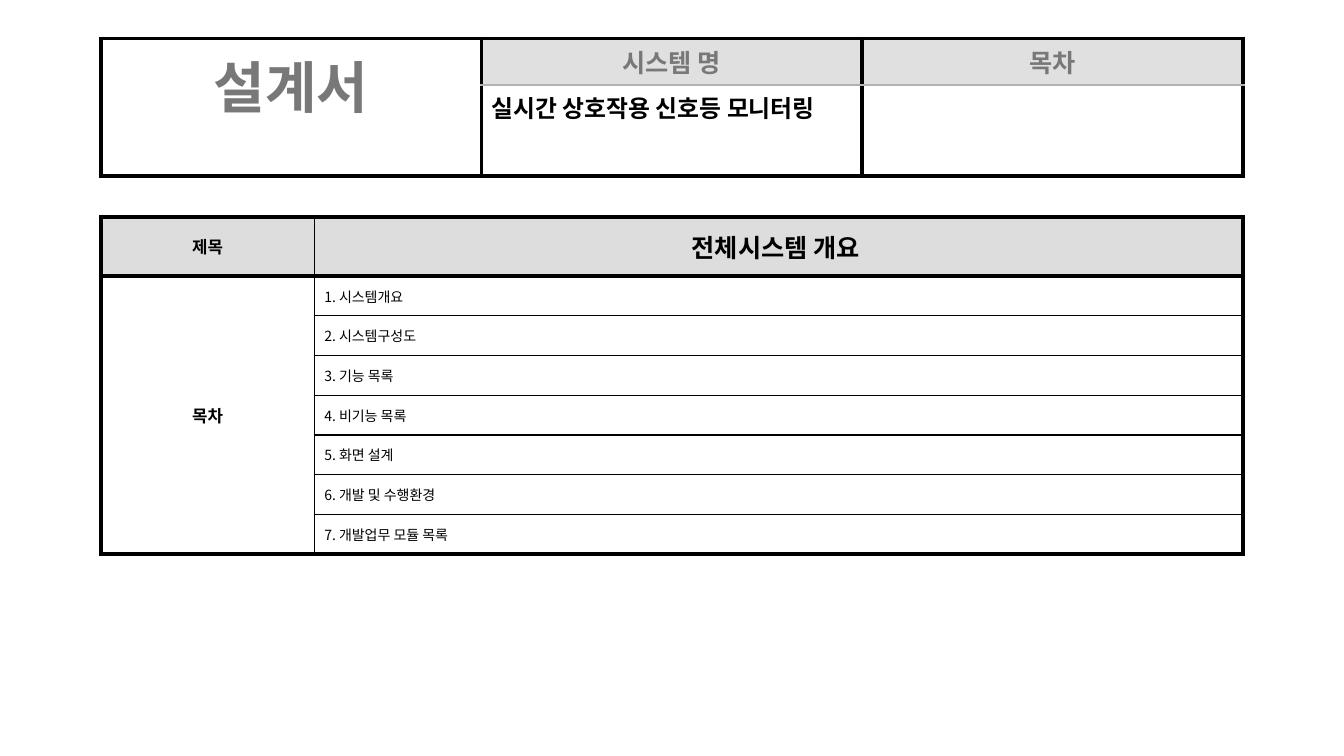
from lxml import etree
from pptx import Presentation
from pptx.dml.color import RGBColor
from pptx.enum.text import MSO_ANCHOR as Anchor, PP_ALIGN as Align
from pptx.oxml.ns import qn
from pptx.util import Cm, Pt

COLORS = {"black": "000000", "white": "FFFFFF", "title": "787878",
          "rule": "B2B2B2", "label": "B2B2B2", "heading": "DDDDDD"}
KOREAN = "Noto Sans CJK KR"
THICK, THIN, GREY = (3, "black"), (1, "black"), (1, "rule")
TOPICS = ["시스템개요", "시스템구성도", "기능 목록", "비기능 목록",
          "화면 설계", "개발 및 수행환경", "개발업무 모듈 목록"]


def add_grid(page, box, widths, heights):
    """Add a plain table whose first column is merged downwards later."""
    frame = page.shapes.add_table(len(heights), len(widths), *map(Cm, box))
    table = frame.table
    table.first_row = table.horz_banding = False
    for column, width in zip(table.columns, widths):
        column.width = Cm(width)
    for row, height in zip(table.rows, heights):
        row.height = Cm(height)
    return table


def draw_edge(cell, side, edge):
    """Draw one side of a cell; an edge of None hides it."""
    width, color = edge or (0, None)
    line = etree.SubElement(cell._tc.get_or_add_tcPr(), qn(f"a:ln{side}"),
                            w=str(Pt(width)))
    if color is None:
        etree.SubElement(line, qn("a:noFill"))
        return
    solid = etree.SubElement(line, qn("a:solidFill"))
    etree.SubElement(solid, qn("a:srgbClr"), val=COLORS[color])


def rule_grid(table, verticals, horizontals):
    """Rule all cells from the lists of column and row boundaries."""
    last = len(table.rows) - 1
    for r in range(last + 1):
        for c in range(len(table.columns)):
            cell = table.cell(r, c)
            top, bottom = horizontals[r], horizontals[r + 1]
            if cell.is_spanned:
                top = None
                bottom = bottom if r == last else None
            elif cell.is_merge_origin:
                bottom = horizontals[-1]
            edges = zip("LRTB", (verticals[c], verticals[c + 1], top, bottom))
            for side, edge in edges:
                draw_edge(cell, side, edge)
            cell.fill.background()


def fill_cell(cell, color, alpha=100):
    cell.fill.solid()
    cell.fill.fore_color.rgb = RGBColor.from_string(COLORS[color])
    if alpha < 100:
        tint = cell._tc.tcPr.find(qn("a:solidFill"))[0]
        etree.SubElement(tint, qn("a:alpha"), val=str(alpha * 1000))


def write_cell(cell, text, size, color="black", bold=True, font=KOREAN,
               align=Align.CENTER, before=0, anchor=Anchor.TOP):
    cell.vertical_anchor = anchor
    para = cell.text_frame.paragraphs[0]
    para.alignment = align
    para.space_before = Pt(before)
    span = para.add_run()
    span.text = text
    span.font.size, span.font.bold, span.font.name = Pt(size), bold, font
    span.font.color.rgb = RGBColor.from_string(COLORS[color])
    latin = span._r.rPr.find(qn("a:latin"))
    latin.addnext(etree.Element(qn("a:ea"), typeface=KOREAN))


def add_contents(page, box):
    left, top, width, height = box
    label, heading = 5.38, 1.5
    step = round((height - heading) / len(TOPICS), 2)
    table = add_grid(page, box, [label, width - label],
                     [heading] + [step] * len(TOPICS))
    table.cell(1, 0).merge(table.cell(len(TOPICS), 0))
    rule_grid(table, [THICK, THIN, THICK],
              [THICK, THICK] + [THIN] * (len(TOPICS) - 1) + [THICK])
    for column in range(2):
        fill_cell(table.cell(0, column), "heading")
    middle = Anchor.MIDDLE
    write_cell(table.cell(0, 0), "제목", 12, before=2.4, anchor=middle)
    write_cell(table.cell(0, 1), "전체시스템 개요 ", 18, before=3.6, anchor=middle)
    write_cell(table.cell(1, 0), "목차", 12, before=2.4, anchor=middle)
    for number, topic in enumerate(TOPICS, 1):
        write_cell(table.cell(number, 1), f"{number}. {topic}", 10, bold=False,
                   align=Align.LEFT, before=2, anchor=middle)


def add_header(page, box):
    width = box[2]
    table = add_grid(page, box, [width / 3] * 3, [1.04, 1.08])
    table.cell(0, 0).merge(table.cell(1, 0))
    rule_grid(table, [THICK] * 4, [THICK, GREY, THICK])
    fill_cell(table.cell(0, 0), "white")
    write_cell(table.cell(0, 0), "설계서", 40, "title", font="Calibri")
    for column, label in enumerate(["시스템 명", "목차"], 1):
        fill_cell(table.cell(0, column), "label", alpha=40)
        write_cell(table.cell(0, column), label, 18, "title", font="Calibri")
    write_cell(table.cell(1, 1), "실시간 상호작용 신호등 모니터링", 17,
               align=Align.LEFT)


def main():
    deck = Presentation()
    deck.slide_width, deck.slide_height = Cm(33.87), Cm(19.05)
    page = deck.slides.add_slide(deck.slide_layouts[6])
    add_contents(page, (2.54, 5.46, 28.78, 8.48))
    add_header(page, (2.54, 0.97, 28.78, 2.12))
    deck.save("out.pptx")


if __name__ == "__main__":
    main()
